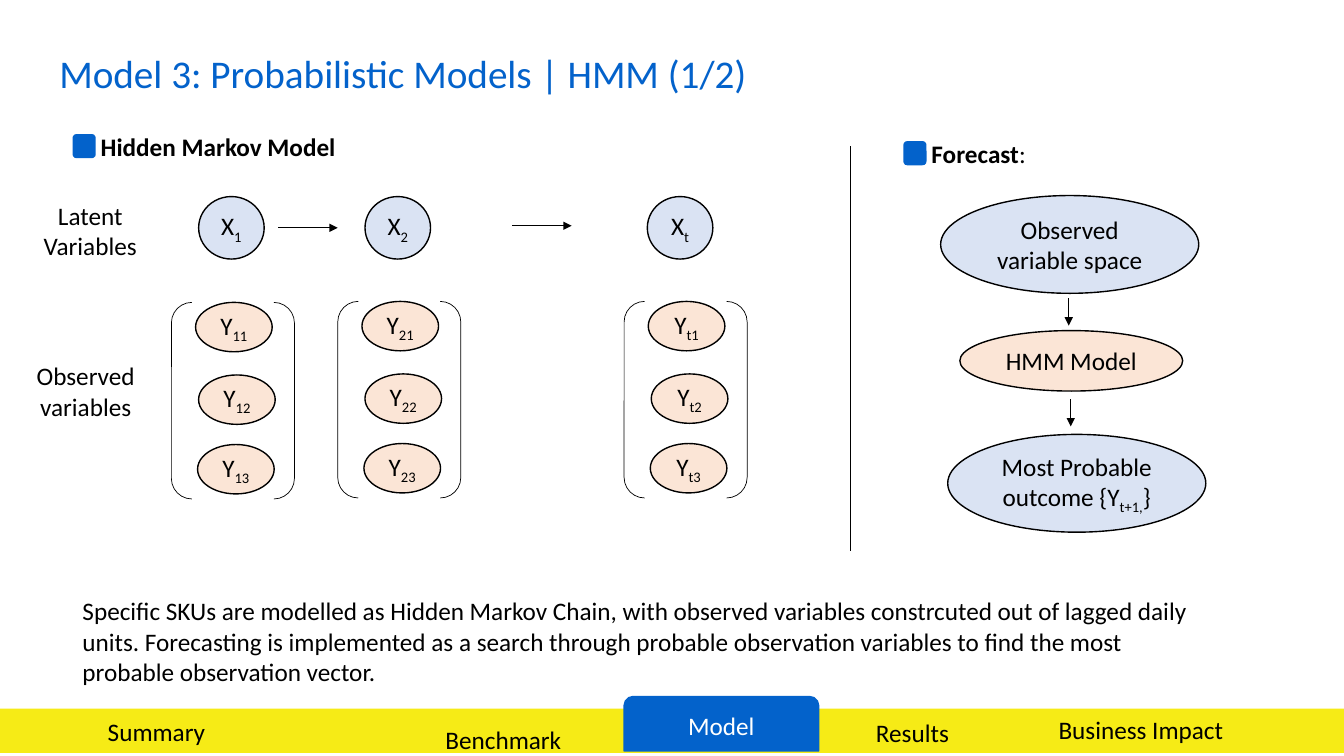
from lxml.etree import SubElement
from pptx import Presentation
from pptx.dml.color import RGBColor
from pptx.enum.shapes import MSO_CONNECTOR, MSO_SHAPE
from pptx.enum.text import MSO_ANCHOR, MSO_AUTO_SIZE, PP_ALIGN
from pptx.oxml.ns import qn
from pptx.util import Inches, Pt

COLORS = {
    "black": "000000",
    "white": "FFFFFF",
    "blue": "0362CB",
    "yellow": "F6EB16",
    "latent": "DAE3F3",
    "observed": "FBE5D6",
}
BODY = {"name": "Calibri", "size": Pt(18)}

# Bracket left, bracket top, circle offset, subscript of each time step
TIME_STEPS = [(1.7, 3, 0.27, "1"), (3.35, 2.99, 0.27, "2"), (6.19, 2.99, 0.23, "t")]
# Offsets of the observed variables inside a bracket
OBSERVED_OFFSETS = [(0.24, 0), (0.27, 0.72), (0.26, 1.41)]

TABS = [
    ("Summary", 0.97, 7.06, 1.19),
    ("Benchmark", 4.32, 7.14, 1.36),
    ("Results", 8.59, 7.07, 0.93),
    ("Business Impact", 10.4, 7.04, 1.85),
]


def rgb(color):
    return RGBColor.from_string(COLORS[color])


def write(tf, lines, color="black", align=PP_ALIGN.LEFT, size=18):
    """Fill a frame; a line is a string or a list of (text, format) runs."""
    for i, line in enumerate(lines):
        p = tf.paragraphs[0] if i == 0 else tf.add_paragraph()
        p.alignment = align
        for text, extra in [(line, {})] if isinstance(line, str) else line:
            r = p.add_run()
            r.text = text
            fmt = BODY | {"size": Pt(size)} | extra
            subscript = fmt.pop("subscript", False)
            for key, value in fmt.items():
                setattr(r.font, key, value)
            r.font.color.rgb = rgb(color)
            if subscript:
                r._r.get_or_add_rPr().set("baseline", "-25000")


def add_text(s, box, lines, wrap=True, **style):
    tf = s.shapes.add_textbox(*map(Inches, box)).text_frame
    tf.word_wrap = wrap
    tf.auto_size = MSO_AUTO_SIZE.SHAPE_TO_FIT_TEXT
    write(tf, lines, **style)


def add_shape(s, kind, box, fill=None, line=None, width=1.0):
    sp = s.shapes.add_shape(kind, *map(Inches, box))
    sp.shadow.inherit = False
    if fill:
        sp.fill.solid()
        sp.fill.fore_color.rgb = rgb(fill)
    else:
        sp.fill.background()
    if line:
        sp.line.color.rgb = rgb(line)
        sp.line.width = Pt(width)
    else:
        sp.line.fill.background()
    return sp


def add_node(s, box, fill, runs, wrap=True):
    tf = add_shape(s, MSO_SHAPE.OVAL, box, fill, "black").text_frame
    tf.word_wrap = wrap
    tf.vertical_anchor = MSO_ANCHOR.MIDDLE
    write(tf, [runs], align=PP_ALIGN.CENTER)


def add_variable(s, box, fill, letter, index):
    add_node(s, box, fill, [(letter, {}), (index, {"subscript": True})], wrap=False)


def add_line(s, start, end, width=0.5, arrow=True):
    line = s.shapes.add_connector(
        MSO_CONNECTOR.STRAIGHT, *map(Inches, start + end))
    line.line.color.rgb = rgb("black")
    line.line.width = Pt(width)
    if arrow:
        SubElement(line.line._get_or_add_ln(), qn("a:tailEnd"), type="triangle")
    SubElement(line._element.spPr, qn("a:effectLst"))


def add_heading(s, left, top, width, runs):
    add_text(s, (left + 0.18, top - 0.08, width, 0.4), [runs])
    add_shape(s, MSO_SHAPE.ROUNDED_RECTANGLE, (left, top, 0.23, 0.24), "blue")


def add_navigation(s):
    add_shape(s, MSO_SHAPE.RECTANGLE, (0, 7.03, 13.33, 0.44), "yellow")
    for label, left, top, width in TABS:
        add_text(s, (left, top, width, 0.4), [label], wrap=False)
    active = add_shape(s, MSO_SHAPE.ROUND_2_SAME_RECTANGLE,
                       (6.19, 6.91, 1.93, 0.54), "blue", "blue")
    active.text_frame.vertical_anchor = MSO_ANCHOR.MIDDLE
    write(active.text_frame, ["Model"], "white", PP_ALIGN.CENTER)


def add_markov_chain(s):
    add_heading(s, 0.72, 1.33, 3.29, [("Hidden Markov Model", {"bold": True})])
    add_text(s, (0.3, 1.94, 1.19, 0.71), ["Latent", "Variables"],
             align=PP_ALIGN.CENTER)
    add_text(s, (0.26, 3.53, 1.18, 0.71), ["Observed", "variables"],
             align=PP_ALIGN.CENTER)
    for left, top, offset, step in TIME_STEPS:
        add_variable(s, (left + offset, 1.95, 0.65, 0.62), "latent", "X", step)
        for i, (dx, dy) in enumerate(OBSERVED_OFFSETS, 1):
            add_variable(s, (left + dx, top + dy, 0.76, 0.49),
                         "observed", "Y", f"{step}{i}")
        add_shape(s, MSO_SHAPE.DOUBLE_BRACKET, (left, top, 1.22, 1.95),
                  line="black", width=0.5)
    for left, y in [(2.76, 2.26), (5.08, 2.24)]:
        add_line(s, (left, y), (left + 0.59, y))


def add_forecast(s):
    add_heading(s, 8.96, 1.4, 2.38, [("Forecast", {"bold": True}), (":", {})])
    add_node(s, (9.33, 1.94, 2.56, 0.97), "latent",
             [("Observed variable space", {})])
    add_node(s, (9.52, 3.28, 2.21, 0.6), "observed", [("HMM Model", {})])
    add_node(s, (9.4, 4.31, 2.56, 0.97), "latent",
             [("Most Probable outcome {Y", {}), ("t+1,", {"subscript": True}),
              ("}", {})])
    for x, top in [(10.6, 2.96), (10.62, 3.96)]:
        add_line(s, (x, top), (x, top + 0.27))


def main():
    prs = Presentation()
    prs.slide_width, prs.slide_height = Inches(13.33), Inches(7.5)
    s = prs.slides.add_slide(prs.slide_layouts[6])
    add_navigation(s)
    add_text(s, (0.49, 0.44, 7.22, 0.57),
             ["Model 3: Probabilistic Models | HMM (1/2)"],
             wrap=False, color="blue", size=28)
    add_text(s, (0.72, 5.86, 11.4, 1.01), [
        "Specific SKUs are modelled as Hidden Markov Chain, with observed "
        "variables constrcuted out of lagged daily units. Forecasting is "
        "implemented as a search through probable observation variables to "
        "find the most probable observation vector."])
    add_markov_chain(s)
    add_line(s, (8.44, 1.45), (8.44, 5.47), width=0.75, arrow=False)
    add_forecast(s)
    prs.save("out.pptx")


if __name__ == "__main__":
    main()
